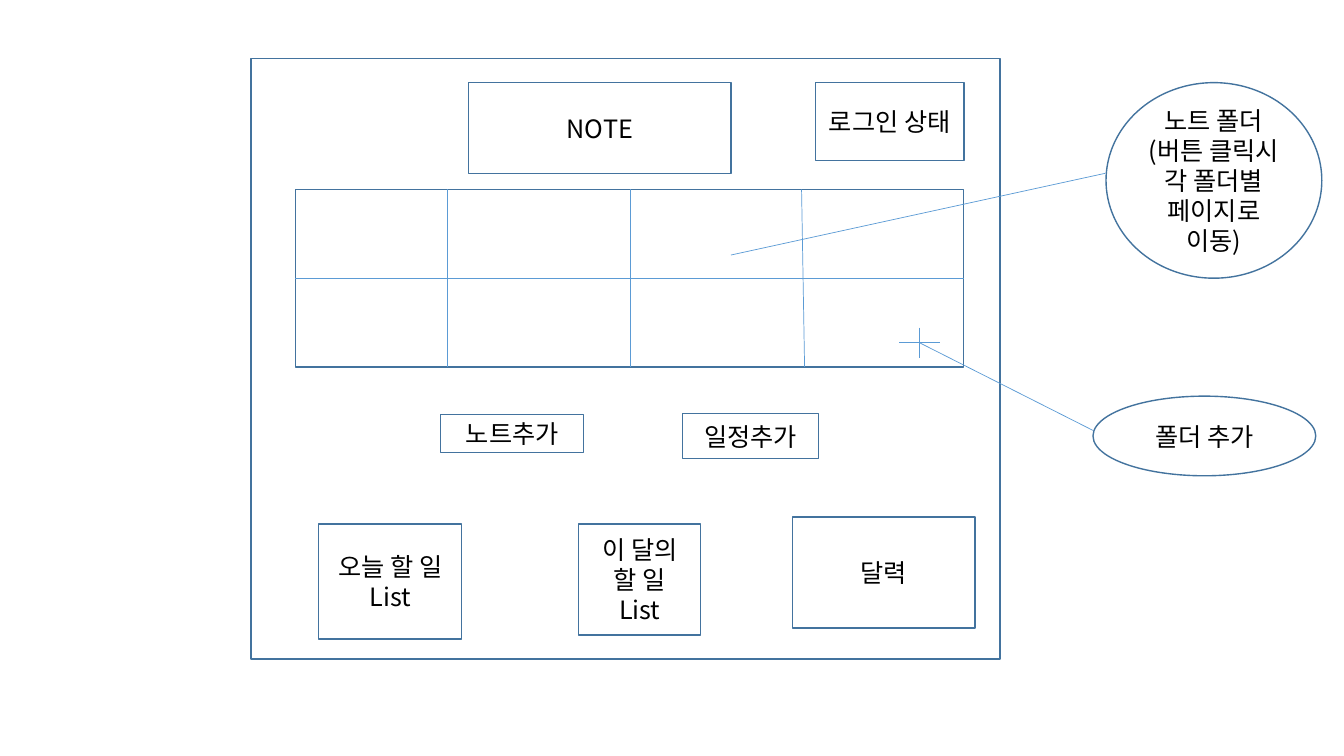
import pptx
import pptx.util
import pptx.dml.color
import pptx.enum.shapes
import pptx.enum.text
import pptx.oxml.ns
import lxml.etree

Inches = pptx.util.Inches
Pt = pptx.util.Pt
RECT = pptx.enum.shapes.MSO_SHAPE.RECTANGLE
OVAL = pptx.enum.shapes.MSO_SHAPE.OVAL
OUTLINE = pptx.dml.color.RGBColor(0x43, 0x73, 0x9E)
RULE = pptx.dml.color.RGBColor(0x5B, 0x9B, 0xD5)
BLACK = pptx.dml.color.RGBColor(0, 0, 0)
FONT = "Noto Sans CJK KR"

deck = pptx.Presentation()
deck.slide_width = Inches(13.33)
deck.slide_height = Inches(7.5)
slide = deck.slides.add_slide(deck.slide_layouts[6])


def add_box(kind, left, top, width, height, label=""):
    box = slide.shapes.add_shape(kind, Inches(left), Inches(top), Inches(width), Inches(height))
    box.shadow.inherit = False
    box.fill.background()
    box.line.color.rgb = OUTLINE
    box.line.width = Pt(1)
    if not label:
        return
    frame = box.text_frame
    frame.text = label
    frame.word_wrap = True
    frame.vertical_anchor = pptx.enum.text.MSO_ANCHOR.MIDDLE
    for paragraph in frame.paragraphs:
        paragraph.alignment = pptx.enum.text.PP_ALIGN.CENTER
        paragraph.font.name = FONT
        paragraph.font.size = Pt(18)
        paragraph.font.color.rgb = BLACK


def add_rule(x1, y1, x2, y2):
    rule = slide.shapes.add_connector(
        pptx.enum.shapes.MSO_CONNECTOR.STRAIGHT, Inches(x1), Inches(y1), Inches(x2), Inches(y2))
    rule.line.color.rgb = RULE
    rule.line.width = Pt(0.5)
    lxml.etree.SubElement(rule._element.spPr, pptx.oxml.ns.qn("a:effectLst"))


page_left, page_top, page_width, page_height = 2.49, 0.58, 7.43, 5.96
add_box(RECT, page_left, page_top, page_width, page_height)

grid_left, grid_top, grid_width, grid_height = 2.93, 1.88, 6.63, 1.76
grid_right, grid_bottom = grid_left + grid_width, grid_top + grid_height
grid_middle = grid_top + grid_height / 2
add_box(RECT, grid_left, grid_top, grid_width, grid_height)
add_rule(grid_left, grid_middle, grid_right, grid_middle)
for top_x, bottom_x in [(4.44, 4.44), (6.25, 6.25), (7.95, 7.98)]:
    add_rule(top_x, grid_top, bottom_x, grid_bottom)

plus_x, plus_y = 9.12, 3.4
add_rule(plus_x - 0.2, plus_y, plus_x + 0.2, plus_y)
add_rule(plus_x, plus_y - 0.15, plus_x, plus_y + 0.15)

add_rule(7.25, 2.53, 10.96, 1.72)
add_rule(plus_x, plus_y, 10.84, 4.27)

for kind, left, top, width, height, label in [
    (RECT, 4.65, 0.82, 2.6, 0.9, "NOTE"),
    (RECT, 8.09, 0.82, 1.47, 0.77, "로그인 상태"),
    (RECT, 4.37, 4.11, 1.42, 0.38, "노트추가"),
    (RECT, 6.77, 4.1, 1.35, 0.45, "일정추가"),
    (RECT, 3.16, 5.2, 1.42, 1.14, "오늘 할 일\nList"),
    (RECT, 5.74, 5.2, 1.21, 1.1, "이 달의 할 일\nList"),
    (RECT, 7.86, 5.13, 1.81, 1.1, "달력"),
    (OVAL, 10.97, 0.82, 2.14, 1.94, "노트 폴더(버튼 클릭시 각 폴더별 페이지로 이동)"),
    (OVAL, 10.84, 3.93, 2.21, 0.79, "폴더 추가"),
]:
    add_box(kind, left, top, width, height, label)

deck.save("out.pptx")
